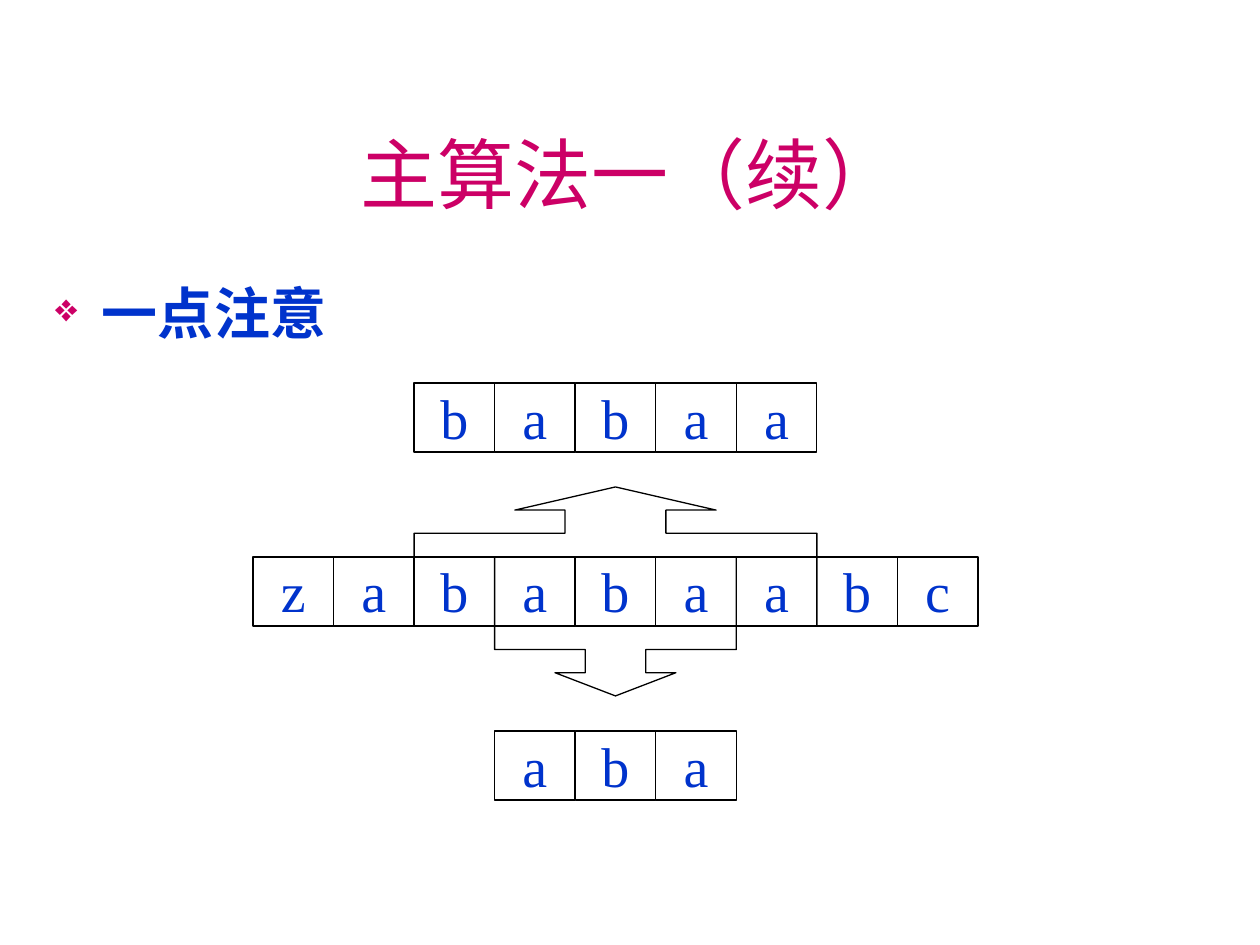
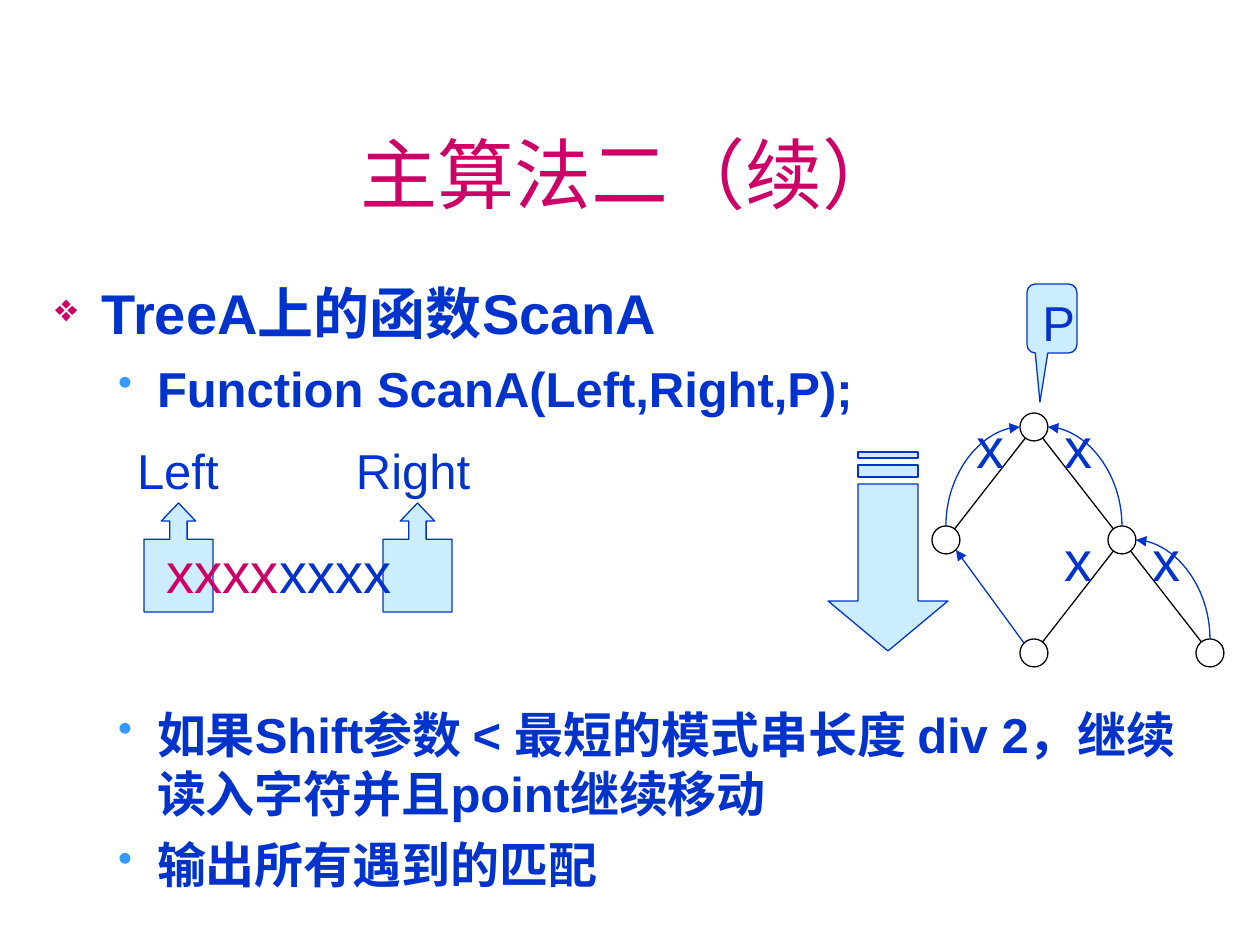
import pptx
import pptx.util
import pptx.dml.color
import pptx.enum.shapes
import pptx.enum.text
import pptx.oxml
import pptx.oxml.ns

Pt = pptx.util.Pt
SHAPE = pptx.enum.shapes.MSO_SHAPE
CONNECTOR = pptx.enum.shapes.MSO_CONNECTOR
ALIGN = pptx.enum.text.PP_ALIGN
ANCHOR = pptx.enum.text.MSO_ANCHOR
AUTO_SIZE = pptx.enum.text.MSO_AUTO_SIZE
qn = pptx.oxml.ns.qn

EMU_PER_PX = 914400 / 126
COLORS = {
    "title": "CC0066",
    "text": "0033CC",
    "dot": "3399FF",
    "pale": "CCECFF",
    "white": "FFFFFF",
    "black": "000000",
}
BULLETS = [
    {"char": "❖", "color": "title", "percent": 70, "margin": 47, "hang": 47, "size": 32, "before": 8},
    {"char": "•", "color": "dot", "percent": 85, "margin": 102, "hang": 39, "size": 28, "before": 7},
]
TITLE_BOX = (42, 94, 1177, 158)
INSETS = (13, 6, 13, 6)
NO_INSETS = (0, 0, 0, 0)


def emu(px):
    return pptx.util.Emu(round(px * EMU_PER_PX))


def emus(lengths):
    return [emu(px) for px in lengths]


def rgb(name):
    return pptx.dml.color.RGBColor.from_string(COLORS[name])


def set_frame(frame, insets, anchor=ANCHOR.TOP):
    frame.word_wrap = True
    frame.auto_size = AUTO_SIZE.NONE
    frame.vertical_anchor = anchor
    (frame.margin_left, frame.margin_top,
     frame.margin_right, frame.margin_bottom) = emus(insets)


def add_span(para, text, size, color="text", font="Arial", bold=False):
    span = para.add_run()
    span.text = text
    span.font.size = Pt(size)
    span.font.name = font
    span.font.bold = bold
    span.font.color.rgb = rgb(color)


def add_text(page, box, spans, size, insets=INSETS):
    shape = page.shapes.add_textbox(*emus(box))
    set_frame(shape.text_frame, insets)
    for text, color in spans:
        add_span(shape.text_frame.paragraphs[0], text, size, color)


def paint(shape, fill, line):
    shape.shadow.inherit = False
    if fill:
        shape.fill.solid()
        shape.fill.fore_color.rgb = rgb(fill)
    else:
        shape.fill.background()
    shape.line.color.rgb = rgb(line)
    shape.line.width = Pt(0.75)


def add_shape(page, kind, box, fill, line, adjustments=()):
    shape = page.shapes.add_shape(kind, *emus(box))
    paint(shape, fill, line)
    for index, value in enumerate(adjustments):
        shape.adjustments[index] = value
    return shape


def add_line(page, start, end, color, kind=CONNECTOR.STRAIGHT, arrow=None):
    line = page.shapes.add_connector(kind, *emus((*start, *end)))
    line.line.color.rgb = rgb(color)
    line.line.width = Pt(0.75)
    properties = line._element.spPr
    if kind == CONNECTOR.CURVE:
        properties.find(qn("a:prstGeom")).set("prst", "curvedConnector2")
    if arrow:
        tip = pptx.oxml.parse_xml(f'<a:{arrow} {pptx.oxml.ns.nsdecls("a")} type="triangle"/>')
        properties.find(qn("a:ln")).append(tip)
    properties.append(pptx.oxml.parse_xml(f'<a:effectLst {pptx.oxml.ns.nsdecls("a")}/>'))


def add_titled_page(deck, title):
    page = deck.slides.add_slide(deck.slide_layouts[5])
    holder = page.shapes.title
    holder.left, holder.top, holder.width, holder.height = emus(TITLE_BOX)
    set_frame(holder.text_frame, INSETS, ANCHOR.MIDDLE)
    para = holder.text_frame.paragraphs[0]
    para.alignment = ALIGN.CENTER
    add_span(para, title, 44, "title")
    return page


def set_bullet(para, style):
    properties = para._p.get_or_add_pPr()
    properties.set("marL", str(emu(style["margin"])))
    properties.set("indent", str(-emu(style["hang"])))
    for xml in (
        f'<a:buClr {{}}><a:srgbClr val="{COLORS[style["color"]]}"/></a:buClr>',
        f'<a:buSzPct {{}} val="{style["percent"] * 1000}"/>',
        f'<a:buChar {{}} char="{style["char"]}"/>',
    ):
        properties.append(pptx.oxml.parse_xml(xml.format(pptx.oxml.ns.nsdecls("a"))))


def add_outline(page, box, items):
    frame = page.shapes.add_textbox(*emus(box)).text_frame
    set_frame(frame, INSETS)
    for index, (level, text, extra) in enumerate(items):
        style = BULLETS[level]
        para = frame.add_paragraph() if index else frame.paragraphs[0]
        para.level = level
        para.space_before = Pt(style["before"] + extra)
        set_bullet(para, style)
        add_span(para, text, style["size"], bold=True)


def add_strip(page, box, letters):
    left, top, width, height = box
    cell_width = width / len(letters)
    for index, letter in enumerate(letters):
        cell = add_shape(page, SHAPE.RECTANGLE, (left + index * cell_width, top, cell_width, height),
                         "white", "black")
        set_frame(cell.text_frame, NO_INSETS)
        para = cell.text_frame.paragraphs[0]
        para.alignment = ALIGN.CENTER
        add_span(para, letter, 32, font="Times New Roman")


def add_match_diagram(page, box):
    left, top, width, height = box
    letters = "zababaabc"
    strip_height, row_step, reach = 69, 174, 139
    cell = width / len(letters)
    middle = top + row_step
    longer = (left + 2 * cell, 5 * cell)
    shorter = (left + 3 * cell, 3 * cell)

    add_strip(page, (left, middle, width, strip_height), letters)
    add_shape(page, SHAPE.UP_ARROW_CALLOUT,
              (longer[0], middle + strip_height - reach, longer[1], reach),
              None, "black", (0.725, 0.724, 0.167, 0.667))
    add_shape(page, SHAPE.DOWN_ARROW_CALLOUT, (shorter[0], middle, shorter[1], reach),
              None, "black", (0.435, 0.435, 0.167, 0.667))
    add_strip(page, (longer[0], top, longer[1], strip_height), letters[2:7])
    add_strip(page, (shorter[0], top + height - strip_height, shorter[1], strip_height), letters[3:6])


def add_scan_window(page, box):
    left, top, width, height = box
    pointer_width = 69
    for x in (left, left + width - pointer_width):
        add_shape(page, SHAPE.UP_ARROW_CALLOUT, (x, top, pointer_width, height),
                  "pale", "text", (0.25, 0.25, 0.262, 0.667))
    add_text(page, (left + 10, top + 29, 615, 89), [("xxxx", "title"), ("xxxx", "text")], 32)
    add_text(page, (left + 199, top - 69, 159, 72), [("Right", "text")], 28)
    add_text(page, (left - 20, top - 69, 118, 72), [("Left", "text")], 28)


def add_tree(page, box):
    left, top, width, height = box
    size = 28
    radius = size / 2
    step_x, step_y = (width - size) / 3, (height - size) / 2
    places = {"root": (1, 0), "left": (0, 1), "right": (2, 1), "inner": (1, 2), "outer": (3, 2)}
    centers = {name: (left + radius + column * step_x, top + radius + row * step_y)
               for name, (column, row) in places.items()}

    for parent, child in (("root", "left"), ("root", "right"), ("right", "inner"), ("right", "outer")):
        add_line(page, centers[parent], centers[child], "black")
    for x, y in centers.values():
        add_shape(page, SHAPE.OVAL, (x - radius, y - radius, size, size), "white", "black")
    for column, row in ((0, 0), (1, 0), (2, 1), (1, 1)):
        add_text(page, (left + (column + 0.5) * step_x, top + row * step_y, 44, 76),
                 [("x", "text")], 32, NO_INSETS)
    for parent, child, side in (("root", "left", -1), ("root", "right", 1), ("right", "outer", 1)):
        (parent_x, parent_y), (child_x, child_y) = centers[parent], centers[child]
        add_line(page, (parent_x + side * radius, parent_y), (child_x, child_y - radius),
                 "text", CONNECTOR.CURVE, "headEnd")
    (inner_x, inner_y), (left_x, left_y) = centers["inner"], centers["left"]
    add_line(page, (inner_x - 10, inner_y - 10), (left_x + 10, left_y + 10), "text", arrow="tailEnd")


def add_point_callout(page, box):
    callout = add_shape(page, SHAPE.ROUNDED_RECTANGULAR_CALLOUT, box, "pale", "text", (-0.24, 1.213, 0.167))
    set_frame(callout.text_frame, INSETS)
    para = callout.text_frame.paragraphs[0]
    para.alignment = ALIGN.CENTER
    add_span(para, "P", 28)


def add_striped_arrow(page, box):
    left, top, width, height = box
    shaft_left, shaft_right = left + width / 4, left + width * 3 / 4
    shaft_top, head_top = top + 32, top + 149
    outlines = [[(shaft_right, shaft_top), (shaft_right, head_top), (left + width, head_top),
                 (left + width / 2, top + height), (left, head_top), (shaft_left, head_top),
                 (shaft_left, shaft_top)]]
    for bar_top, bar_bottom in ((top, top + 6), (top + 13, top + 25)):
        outlines.append([(shaft_right, bar_top), (shaft_right, bar_bottom),
                         (shaft_left, bar_bottom), (shaft_left, bar_top)])
    builder = page.shapes.build_freeform(*outlines[0][0], scale=EMU_PER_PX)
    for index, outline in enumerate(outlines):
        if index:
            builder.move_to(*outline[0])
        builder.add_line_segments(outline[1:], close=True)
    paint(builder.convert_to_shape(), "pale", "text")


def build_match_page(deck):
    page = add_titled_page(deck, "主算法一（续）")
    add_outline(page, (42, 273, 1177, 111), [(0, "一点注意", 0)])
    add_match_diagram(page, (253, 383, 725, 417))


def build_scan_page(deck):
    page = add_titled_page(deck, "主算法二（续）")
    add_outline(page, (42, 273, 1153, 636), [
        (0, "TreeA上的函数ScanA", 0),
        (1, "Function ScanA(Left,Right,P);", 0),
        (1, "如果Shift参数 < 最短的模式串长度 div 2，继续读入字符并且point继续移动", 157),
        (1, "输出所有遇到的匹配", 0),
    ])
    add_scan_window(page, (144, 503, 308, 109))
    add_tree(page, (932, 413, 292, 254))
    add_point_callout(page, (1027, 284, 50, 69))
    add_striped_arrow(page, (828, 452, 120, 199))


def main():
    deck = pptx.Presentation()
    deck.slide_width, deck.slide_height = emus((1260, 945))
    build_match_page(deck)
    build_scan_page(deck)
    deck.save("out.pptx")


if __name__ == "__main__":
    main()
